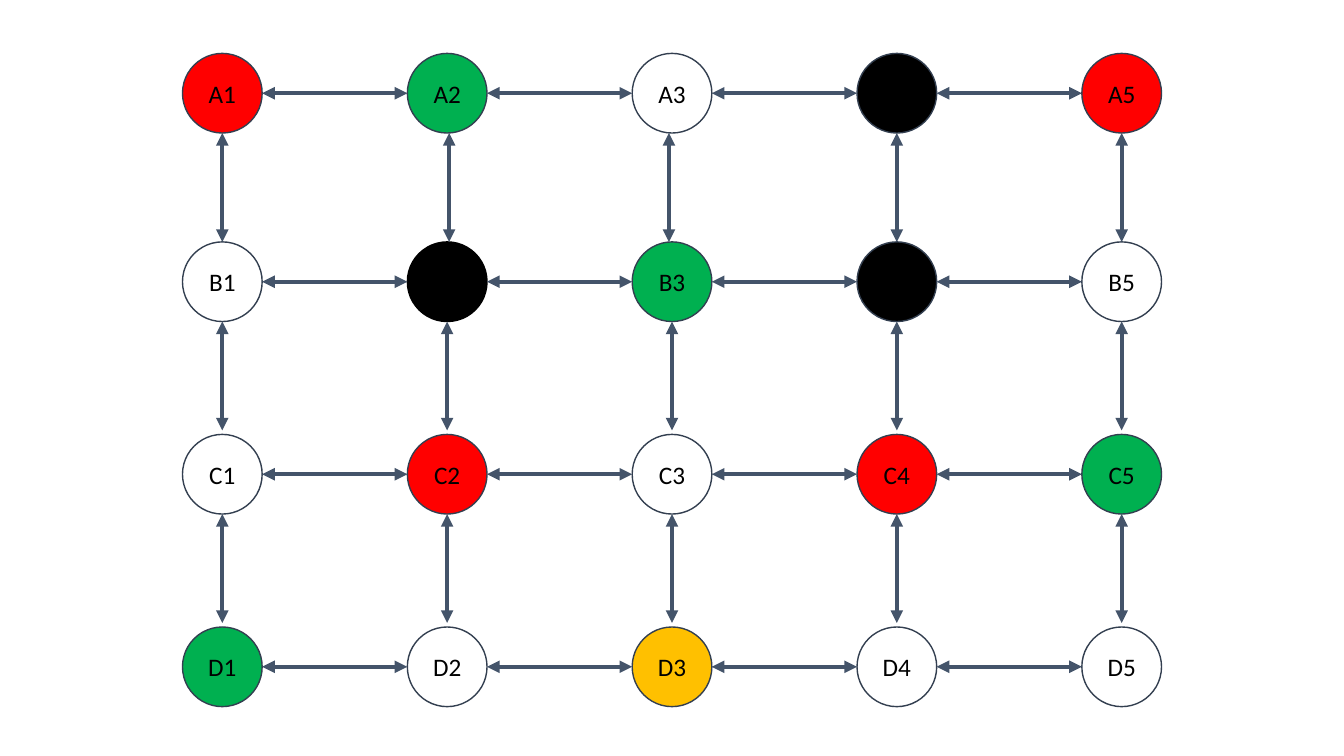
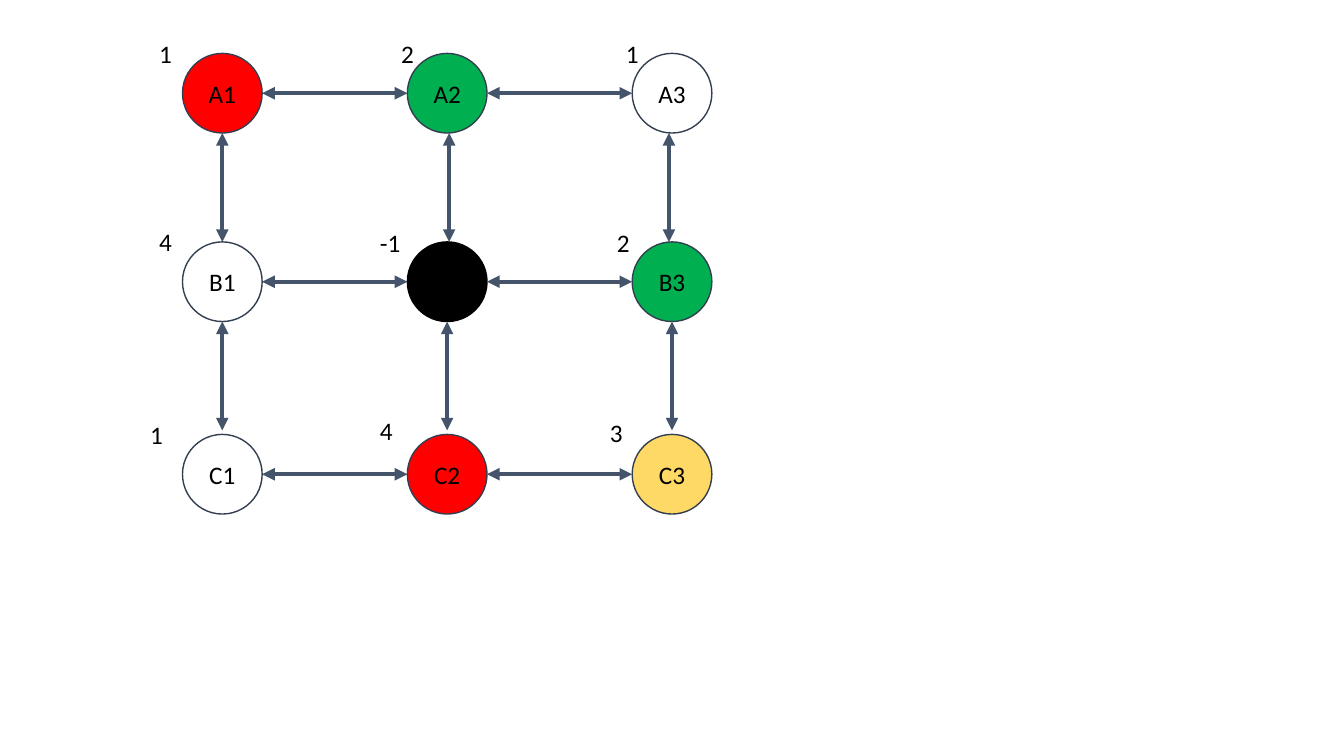
from lxml import etree
from pptx import Presentation
from pptx.dml.color import RGBColor
from pptx.enum.shapes import MSO_CONNECTOR, MSO_SHAPE
from pptx.enum.text import MSO_ANCHOR, MSO_AUTO_SIZE, PP_ALIGN
from pptx.oxml.ns import qn
from pptx.util import Inches, Pt

STRAIGHT = MSO_CONNECTOR.STRAIGHT
ELLIPSE = MSO_SHAPE.OVAL
MIDDLE, TOP = MSO_ANCHOR.MIDDLE, MSO_ANCHOR.TOP
CENTER, LEFT = PP_ALIGN.CENTER, PP_ALIGN.LEFT
FIT_SHAPE = MSO_AUTO_SIZE.SHAPE_TO_FIT_TEXT

SLIDE_W, SLIDE_H = 13.33, 7.5
FONT, TEXT_SIZE = "Calibri", 18
BLACK, OUTLINE, LINK = "000000", "333F50", "44546A"
FILLS = {"R": "FF0000", "G": "00B050", "W": "FFFFFF",
         "K": BLACK, "Y": "FFC000", "L": "FFD966"}

DIAMETER = 0.79
FIRST_COLUMN, COLUMN_PITCH = 1.81, 2.23
ROW_TOPS = [0.53, 2.4, 4.31, 6.22]
LINK_LENGTH = 1.08
LINK_SHIFTS = {(0, 1): 0.02, (0, 2): -0.03}
ELLIPSE_LEFT, ELLIPSE_RIGHT = 2, 6

FULL_MAZE = ["RGWKR", "WKGKW", "WRWRG", "GWYWW"]
SMALL_MAZE = ["RGW", "WKG", "WRL"]
VISIT_COUNTS = [
    [("1", -0.33, -0.2), ("2", -0.16, -0.2), ("1", -0.16, -0.2)],
    [("4", -0.33, -0.2), ("-1", -0.37, -0.19), ("2", -0.25, -0.19)],
    [("1", -0.42, -0.2), ("4", -0.37, -0.24), ("3", -0.32, -0.22)],
]


def rgb(hex_code):
    """Return the colour for a hex string."""
    return RGBColor.from_string(hex_code)


def origin(row, column):
    """Return the left and top of a grid cell's circle."""
    return FIRST_COLUMN + column * COLUMN_PITCH, ROW_TOPS[row]


def write(frame, text, align=LEFT, anchor=TOP, wrap=False, color=BLACK):
    """Write one formatted paragraph in a text frame."""
    frame.word_wrap = wrap
    frame.vertical_anchor = anchor
    paragraph = frame.paragraphs[0]
    paragraph.alignment = align
    run = paragraph.add_run()
    run.text = text
    run.font.name = FONT
    run.font.size = Pt(TEXT_SIZE)
    run.font.color.rgb = rgb(color)


def add_node(slide, row, column, code, outline=OUTLINE):
    """Add a circle, labelled by row and column unless it is a wall."""
    left, top = origin(row, column)
    node = slide.shapes.add_shape(ELLIPSE, Inches(left), Inches(top),
                                  Inches(DIAMETER), Inches(DIAMETER))
    node.shadow.inherit = False
    node.fill.solid()
    node.fill.fore_color.rgb = rgb(FILLS[code])
    node.line.color.rgb = rgb(outline)
    node.line.width = Pt(1)
    if code != "K":
        write(node.text_frame, f"{'ABCD'[row]}{column + 1}",
              align=CENTER, anchor=MIDDLE, wrap=True)
    return node


def add_link(slide, start, end):
    """Add a straight link with an arrowhead at both ends."""
    link = slide.shapes.add_connector(
        STRAIGHT, *(Inches(length) for length in (*start, *end)))
    link.line.color.rgb = rgb(LINK)
    link.line.width = Pt(3)
    stroke = link.line._get_or_add_ln()
    for tag in ("a:headEnd", "a:tailEnd"):
        etree.SubElement(stroke, qn(tag), type="triangle")
    etree.SubElement(link._element.spPr, qn("a:effectLst"))
    return link


def join(link, left_node, right_node):
    """Attach a horizontal link to the facing sides of two circles."""
    joints = link._element.nvCxnSpPr.cNvCxnSpPr
    for tag, node, site in (("a:stCxn", left_node, ELLIPSE_RIGHT),
                            ("a:endCxn", right_node, ELLIPSE_LEFT)):
        etree.SubElement(joints, qn(tag), id=str(node.shape_id), idx=str(site))


def add_maze(slide, maze):
    """Add the circles of a maze and the links between neighbours."""
    nodes = {}
    for row, codes in enumerate(maze):
        for column, code in enumerate(codes):
            outline = BLACK if (row, column) == (1, 1) else OUTLINE
            nodes[row, column] = add_node(slide, row, column, code, outline)
    for (row, column), node in nodes.items():
        left, top = origin(row, column)
        middle = top + DIAMETER / 2
        if (row, column + 1) in nodes:
            link = add_link(slide, (left + DIAMETER, middle),
                            (left + COLUMN_PITCH, middle))
            join(link, node, nodes[row, column + 1])
        if (row + 1, column) in nodes:
            x = left + DIAMETER / 2 + LINK_SHIFTS.get((row, column), 0)
            bottom = top + DIAMETER
            add_link(slide, (x, bottom), (x, bottom + LINK_LENGTH))


def add_counts(slide, counts):
    """Add the count beside each circle, offset from its corner."""
    for row, entries in enumerate(counts):
        for column, (count, dx, dy) in enumerate(entries):
            left, top = origin(row, column)
            width = 0.25 + 0.08 * len(count)
            box = slide.shapes.add_textbox(Inches(left + dx), Inches(top + dy),
                                           Inches(width), Inches(0.4))
            write(box.text_frame, count)
            box.text_frame.auto_size = FIT_SHAPE


def main():
    """Build and save both maze slides."""
    deck = Presentation()
    deck.slide_width, deck.slide_height = Inches(SLIDE_W), Inches(SLIDE_H)
    blank = deck.slide_layouts[6]
    add_maze(deck.slides.add_slide(blank), FULL_MAZE)
    small = deck.slides.add_slide(blank)
    add_maze(small, SMALL_MAZE)
    add_counts(small, VISIT_COUNTS)
    deck.save("out.pptx")


if __name__ == "__main__":
    main()
